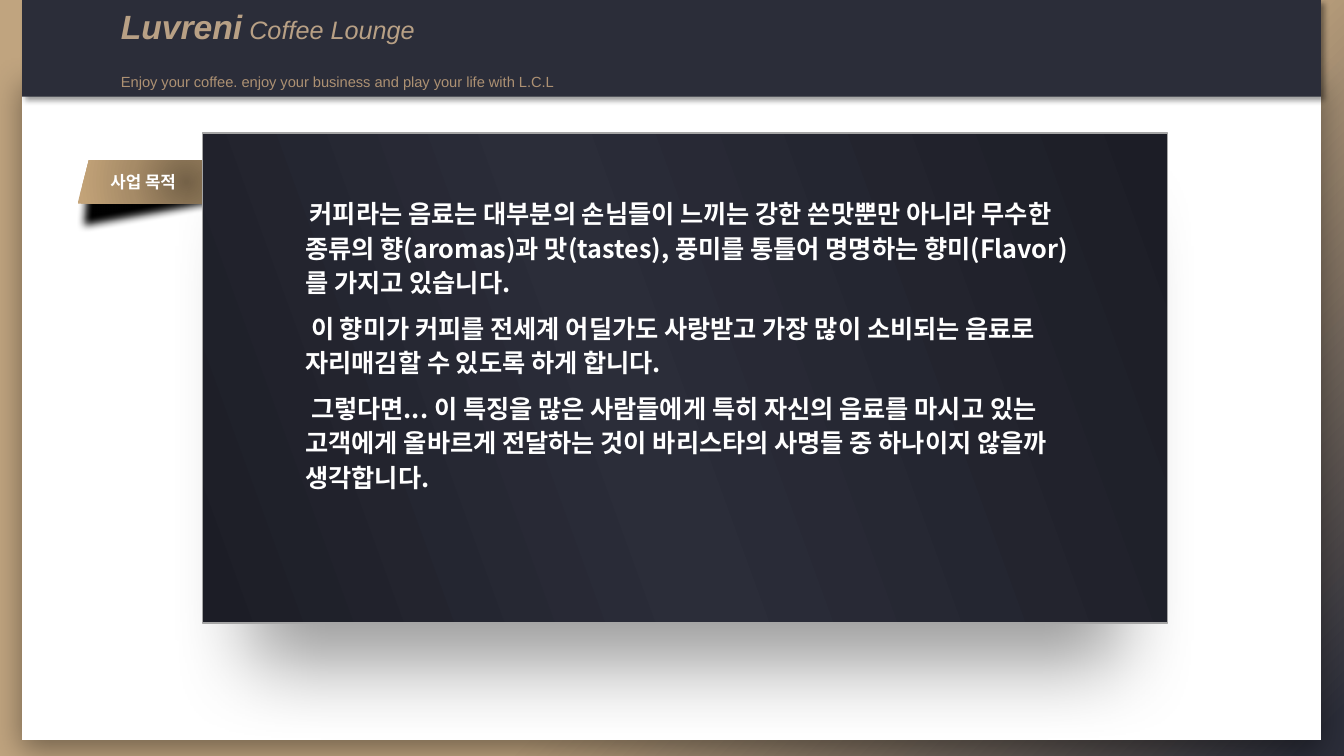
from dataclasses import dataclass
from typing import NamedTuple, Optional

from lxml import etree
from pptx import Presentation
from pptx.dml.color import RGBColor
from pptx.enum import shapes, text
from pptx.oxml import ns
from pptx.util import Inches, Pt

WHITE = RGBColor(0xFF, 0xFF, 0xFF)
BLACK = RGBColor(0, 0, 0)
NAVY = RGBColor(0x2B, 0x2D, 0x39)
INK = RGBColor(0x1C, 0x1D, 0x26)
SAND = RGBColor(0xC0, 0xA4, 0x7F)
CREAM = RGBColor(0xB8, 0xA0, 0x85)
TAN = RGBColor(0xAD, 0x91, 0x73)
UMBER = RGBColor(0x75, 0x62, 0x48)
OCHRE = RGBColor(0xA6, 0x8B, 0x67)
GOLD = RGBColor(0xC5, 0xA5, 0x7A)
GREY = RGBColor(0xA6, 0xA6, 0xA6)
LATIN, HANGUL = "Arial", "Noto Sans CJK KR"
RECT = shapes.MSO_SHAPE.RECTANGLE
SLANT = shapes.MSO_SHAPE.PARALLELOGRAM


class Blend(NamedTuple):
    """A gradient; without an angle it spreads from the centre."""
    stops: list[tuple[int, RGBColor]]
    angle: Optional[int] = None


class Shade(NamedTuple):
    blur: float
    dist: float
    angle: int
    scale: int = 100


@dataclass
class Plate:
    box: tuple[float, float, float, float]
    fill: RGBColor | Blend
    kind: shapes.MSO_SHAPE = RECT
    shade: Optional[Shade] = None
    soft: float = 0
    turn: float = 0
    flip: bool = False
    line: Optional[RGBColor] = None


def add(parent, tag: str, **attrs):
    node = etree.SubElement(parent, ns.qn(tag))
    for key, value in attrs.items():
        node.set(key, str(value))
    return node


def paint(fill, props, colour: RGBColor | Blend) -> None:
    """Fill with a plain colour or a gradient."""
    fill.solid()
    if isinstance(colour, RGBColor):
        fill.fore_color.rgb = colour
        return
    grad = etree.Element(ns.qn("a:gradFill"), rotWithShape="1")
    stops = add(grad, "a:gsLst")
    for place, shade in colour.stops:
        stop = add(stops, "a:gs", pos=place * 1000)
        add(stop, "a:srgbClr", val=shade)
    if colour.angle is None:
        sweep = add(grad, "a:path", path="circle")
        add(sweep, "a:fillToRect", l=50000, t=50000, r=50000, b=50000)
    else:
        add(grad, "a:lin", ang=colour.angle * 60000, scaled=0)
    solid = props.find(ns.qn("a:solidFill"))
    props.replace(solid, grad)


def draw(parent, plate: Plate):
    shape = parent.add_shape(plate.kind, *map(Inches, plate.box))
    shape.shadow.inherit = False
    props = shape._element.spPr
    paint(shape.fill, props, plate.fill)
    if plate.line is None:
        shape.line.fill.background()
    else:
        shape.line.color.rgb = plate.line
        shape.line.width = Pt(1)
    if plate.kind == SLANT:
        shape.adjustments[0] = 0.259
    shape.rotation = plate.turn
    if plate.flip:
        props.xfrm.set("flipH", "1")
    effects = props.find(ns.qn("a:effectLst"))
    if plate.shade:
        blur, dist, angle, scale = plate.shade
        outer = add(effects, "a:outerShdw", blurRad=Pt(blur), dist=Pt(dist),
                    dir=angle * 60000, sx=scale * 1000, sy=scale * 1000,
                    algn="t", rotWithShape=0)
        add(add(outer, "a:srgbClr", val=BLACK), "a:alpha", val=40000)
    if plate.soft:
        add(effects, "a:softEdge", rad=Pt(plate.soft))
    return shape


def write(para, words: str, *, size: float, font: str, colour: RGBColor,
          bold: bool = False, italic: bool = False) -> None:
    run = para.add_run()
    run.text = words
    face = run.font
    face.size, face.bold, face.italic = Pt(size), bold, italic
    face.color.rgb = colour
    face.name = font
    add(run._r.get_or_add_rPr(), "a:ea", typeface=font)


def frame(slide, box: tuple[float, float, float, float]):
    """Add a wrapping text box and return its text frame."""
    area = slide.shapes.add_textbox(*map(Inches, box)).text_frame
    area.word_wrap = True
    return area


PAGE = Plate((0.22, 0.74, 12.88, 6.6), WHITE, shade=Shade(22, 8, 90))
BAND = Plate((0.22, 0, 12.88, 0.96), NAVY, shade=Shade(4, 3, 45), flip=True)
CAST = Plate((0.68, 1.73, 1.76, 0.47), BLACK, SLANT, soft=6, turn=350)
TAB = Plate((0.77, 1.59, 2.16, 0.43),
            Blend([(0, UMBER), (50, OCHRE), (100, GOLD)]), SLANT)
PANEL = Plate((2.01, 1.32, 9.57, 4.86),
              Blend([(0, INK), (56, NAVY), (100, INK)], 20),
              shade=Shade(59, 64, 90, 90), flip=True, line=GREY)
BODY = [
    "커피라는 음료는 대부분의 손님들이 느끼는 강한 쓴맛뿐만 아니라 무수한 종류의 향(aromas)과 "
    "맛(tastes), 풍미를 통틀어 명명하는 향미(Flavor)를 가지고 있습니다.",
    " 이 향미가 커피를 전세계 어딜가도 사랑받고 가장 많이 소비되는 음료로 자리매김할 수 있도록 "
    "하게 합니다.",
    " 그렇다면... 이 특징을 많은 사람들에게 특히 자신의 음료를 마시고 있는 고객에게 올바르게 "
    "전달하는 것이 바리스타의 사명들 중 하나이지 않을까 생각합니다.",
]


def head(slide) -> None:
    area = frame(slide, (1.2, 0, 6.06, 0.96))
    area.margin_left = area.margin_right = 0
    area.margin_top = area.margin_bottom = 0
    area.vertical_anchor = text.MSO_ANCHOR.MIDDLE
    title = area.paragraphs[0]
    write(title, "Luvreni", size=24, font=LATIN, colour=CREAM,
          bold=True, italic=True)
    write(title, " ", size=18, font=LATIN, colour=CREAM,
          bold=True, italic=True)
    write(title, "Coffee Lounge", size=18, font=LATIN, colour=CREAM,
          italic=True)
    motto = area.add_paragraph()
    motto.line_spacing = 2.5
    write(motto, "Enjoy your coffee. enjoy your business and play your life "
          "with L.C.L", size=10.5, font=LATIN, colour=TAN)


def label(slide) -> None:
    group = slide.shapes.add_group_shape()
    draw(group.shapes, CAST)
    area = draw(group.shapes, TAB).text_frame
    area.vertical_anchor = text.MSO_ANCHOR.MIDDLE
    para = area.paragraphs[0]
    para.alignment = text.PP_ALIGN.LEFT
    write(para, "사업 목적", size=12, font=HANGUL, colour=WHITE, bold=True)


def body(slide) -> None:
    area = frame(slide, (2.93, 1.88, 7.81, 3.54))
    area.auto_size = text.MSO_AUTO_SIZE.SHAPE_TO_FIT_TEXT
    for index, words in enumerate(BODY):
        para = area.add_paragraph() if index else area.paragraphs[0]
        para.line_spacing = 1.14
        para.space_after = Pt(8)
        if not index:
            write(para, " ", size=14, font=HANGUL, colour=BLACK)
        write(para, words, size=18, font=HANGUL, colour=WHITE, bold=True)


def main() -> None:
    deck = Presentation()
    deck.slide_width, deck.slide_height = Inches(13.33), Inches(7.5)
    slide = deck.slides.add_slide(deck.slide_layouts[6])
    fill = slide.background.fill
    fill.solid()
    props = slide._element.cSld.bg.bgPr
    paint(fill, props, Blend([(2, NAVY), (40, SAND)], 225))
    draw(slide.shapes, PAGE)
    draw(slide.shapes, BAND)
    head(slide)
    label(slide)
    draw(slide.shapes, PANEL)
    body(slide)
    deck.save("out.pptx")


if __name__ == "__main__":
    main()
